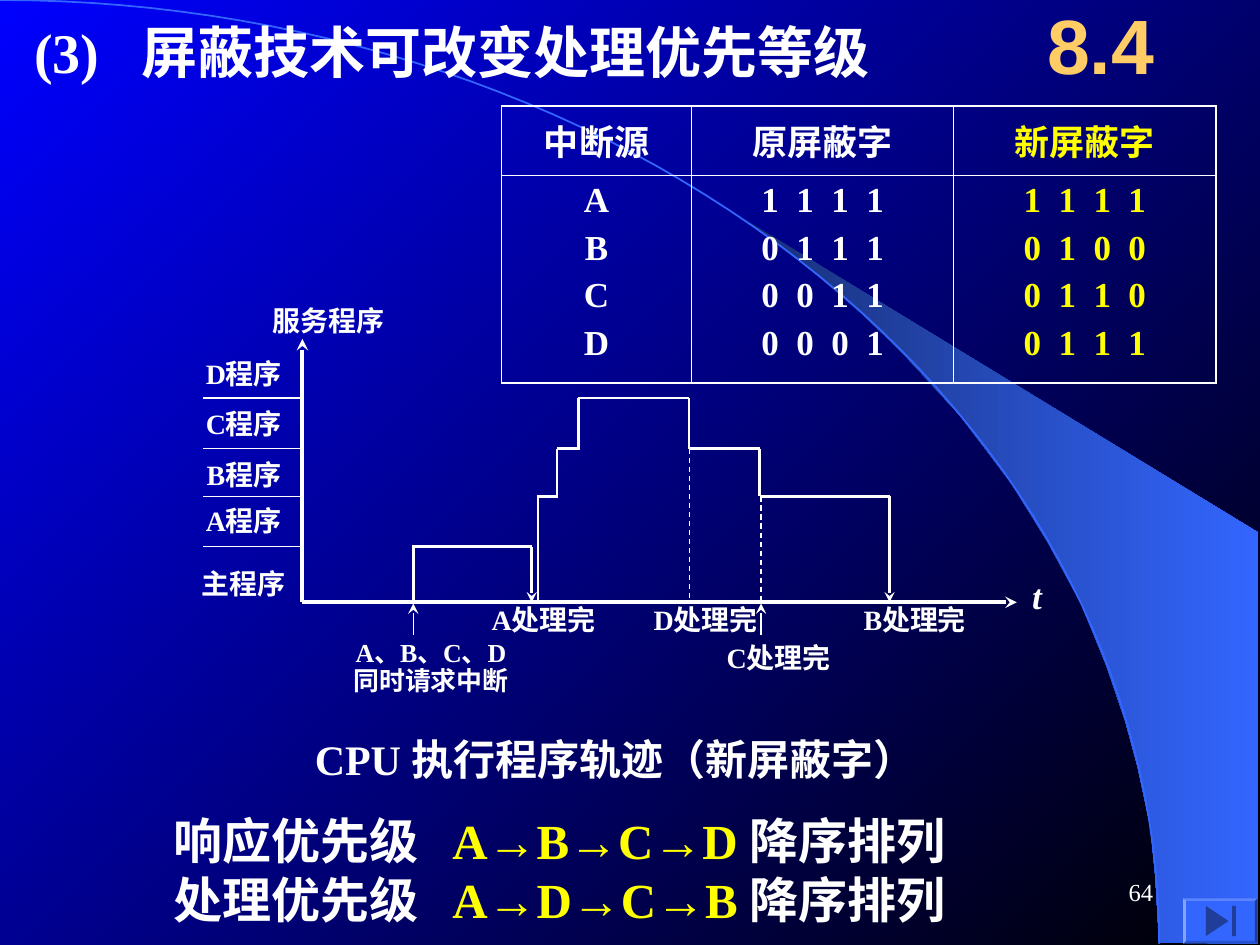
from math import cos, pi, sin

from lxml.etree import SubElement
from pptx import Presentation
from pptx.dml.color import RGBColor
from pptx.enum.dml import MSO_LINE_DASH_STYLE as Dash
from pptx.enum.shapes import MSO_CONNECTOR as Connector, MSO_SHAPE as Shape
from pptx.enum.text import MSO_ANCHOR as Anchor, MSO_AUTO_SIZE as AutoSize, PP_ALIGN as Align
from pptx.oxml.ns import qn
from pptx.util import Inches, Pt

WHITE = RGBColor(0xFF, 0xFF, 0xFF)
YELLOW = RGBColor(0xFF, 0xFF, 0x00)
GOLD = RGBColor(0xFF, 0xCC, 0x66)
BLUE = RGBColor(0x33, 0x66, 0xFF)
DEEP_BLUE = RGBColor(0x18, 0x2F, 0x76)
ICON_BLUE = RGBColor(0x1F, 0x3D, 0x99)
BACK_BLUE = RGBColor(0x00, 0x00, 0xFF)
BLACK = RGBColor(0x00, 0x00, 0x00)
SERIF = "Times New Roman"

# Heights of the trace when each program runs
MAIN, A, B, C, D = 4.78, 4.34, 3.94, 3.56, 3.16
AXIS_X = 2.4

BAND = [(9.2, 7.48), (9.99, 7.49), (9.99, 4.23), (5.89, 1.73), (6.24, 1.99), (6.53, 2.22),
        (6.85, 2.5), (7.16, 2.8), (7.62, 3.3), (8.03, 3.84), (8.32, 4.31), (8.58, 4.79),
        (8.78, 5.28), (8.93, 5.72), (9.03, 6.09), (9.13, 6.56), (9.17, 6.96)]

MASK_TABLE = [
    ("中断源", 1.51, WHITE, ["A", "B", "C", "D"]),
    ("原屏蔽字", 2.08, WHITE, ["1 1 1 1", "0 1 1 1", "0 0 1 1", "0 0 0 1"]),
    ("新屏蔽字", 2.08, YELLOW, ["1 1 1 1", "0 1 0 0", "0 1 1 0", "0 1 1 1"]),
]


def set_font(font, size, color=WHITE, name=SERIF, bold=True):
    font.size, font.name, font.bold = Pt(size), name, bold
    font.color.rgb = color


def set_frame(frame, anchor=Anchor.TOP, inset=(0, 0)):
    frame.word_wrap = True
    frame.auto_size = AutoSize.NONE
    frame.vertical_anchor = anchor
    frame.margin_left = frame.margin_right = Inches(inset[0])
    frame.margin_top = frame.margin_bottom = Inches(inset[1])


def add_tab_stop(paragraph, position):
    tabs = SubElement(paragraph._p.get_or_add_pPr(), qn("a:tabLst"))
    SubElement(tabs, qn("a:tab"), pos=str(Inches(position)), algn="l")


def add_label(slide, box, text, size=16, color=WHITE, name=SERIF, bold=True,
              align=Align.CENTER, anchor=Anchor.TOP, inset=(0, 0)):
    frame = slide.shapes.add_textbox(*map(Inches, box)).text_frame
    set_frame(frame, anchor, inset)
    frame.text = text
    for paragraph in frame.paragraphs:
        paragraph.alignment = align
        set_font(paragraph.font, size, color, name, bold)
    return frame


def add_line(slide, x1, y1, x2, y2, width=1.5, arrow=None, dashed=False):
    """Draw a white line; arrow is "headEnd" (at the start) or "tailEnd"."""
    line = slide.shapes.add_connector(Connector.STRAIGHT, *map(Inches, (x1, y1, x2, y2)))
    line.line.color.rgb = WHITE
    line.line.width = Pt(width)
    if dashed:
        line.line.dash_style = Dash.DASH
    properties = line._element.spPr
    if arrow:
        SubElement(properties.find(qn("a:ln")), qn(f"a:{arrow}"), type="stealth")
    SubElement(properties, qn("a:effectLst"))


def add_outline(slide, points, closed=True):
    builder = slide.shapes.build_freeform(*map(Inches, points[0]))
    builder.add_line_segments([tuple(map(Inches, p)) for p in points[1:]], close=closed)
    outline = builder.convert_to_shape()
    outline.shadow.inherit = False
    return outline


def fill_plain(shape, color):
    shape.shadow.inherit = False
    shape.fill.solid()
    shape.fill.fore_color.rgb = color
    shape.line.fill.background()


def fill_gradient(fill, start, end, angle):
    fill.gradient()
    fill.gradient_angle = angle
    for stop, color in zip(fill.gradient_stops, (start, end)):
        stop.color.rgb = color


def add_backdrop(slide):
    fill_gradient(slide.background.fill, BACK_BLUE, BLACK, 315)
    band = add_outline(slide, BAND)
    fill_gradient(band.fill, DEEP_BLUE, BLUE, 0)
    band.line.fill.background()
    steps = 60
    angles = [pi / 2 * i / steps for i in range(steps + 1)]
    arc = add_outline(slide, [(9.2 * sin(a), 7.49 * (1 - cos(a))) for a in angles], closed=False)
    arc.fill.background()
    arc.line.color.rgb = BLUE
    arc.line.width = Pt(1)


def add_title(slide):
    title = slide.shapes.title
    title.element.getparent().append(title.element)  # in front of the backdrop
    title.left, title.top, title.width, title.height = map(Inches, (0.27, 0.17, 7.25, 0.47))
    set_frame(title.text_frame, Anchor.MIDDLE)
    title.text_frame.text = "(3)\t屏蔽技术可改变处理优先等级"
    heading = title.text_frame.paragraphs[0]
    heading.alignment = Align.LEFT
    add_tab_stop(heading, 0.85)
    set_font(heading.font, 32)


def add_end_button(slide):
    button = slide.shapes.add_shape(Shape.BEVEL, *map(Inches, (9.39, 7.13, 0.59, 0.36)))
    button.adjustments[0] = 0.06
    fill_plain(button, BLUE)
    fill_plain(add_outline(slide, [(9.57, 7.19), (9.75, 7.31), (9.57, 7.43)]), ICON_BLUE)
    bar = slide.shapes.add_shape(Shape.RECTANGLE, *map(Inches, (9.78, 7.19, 0.03, 0.24)))
    fill_plain(bar, ICON_BLUE)


def set_borders(cell, widths):
    """Widths are in points, keyed by side: L, R, T, B."""
    properties = cell._tc.get_or_add_tcPr()
    for side, width in widths.items():
        border = SubElement(properties, qn(f"a:ln{side}"), w=str(Pt(width)))
        color = SubElement(SubElement(border, qn("a:solidFill")), qn("a:srgbClr"))
        color.set("val", str(WHITE))


def add_mask_table(slide):
    table = slide.shapes.add_table(2, 3, *map(Inches, (3.98, 0.84, 5.67, 2.2))).table
    table.first_row = table.horz_banding = False
    table.rows[0].height, table.rows[1].height = Inches(0.55), Inches(1.65)
    outer, inner = 1.08, 0.45
    for col, (heading, width, color, values) in enumerate(MASK_TABLE):
        table.columns[col].width = Inches(width)
        for row, lines in enumerate(([heading], values)):
            cell = table.cell(row, col)
            set_borders(cell, {"L": outer if col == 0 else inner, "R": outer if col == 2 else inner,
                               "T": outer if row == 0 else inner, "B": outer if row == 1 else inner})
            cell.fill.background()
            cell.vertical_anchor = Anchor.TOP if row else Anchor.MIDDLE
            cell.text = "\n".join(lines)
            for i, paragraph in enumerate(cell.text_frame.paragraphs):
                paragraph.alignment = Align.CENTER
                if i:
                    paragraph.space_before = Pt(5)
                set_font(paragraph.font, 20, color)
                if row and col:  # spread the mask bits
                    paragraph.runs[0]._r.get_or_add_rPr().set("spc", "250")


def add_axes(slide):
    add_line(slide, AXIS_X, MAIN, 8.07, MAIN, 2.25, "tailEnd")
    add_line(slide, AXIS_X, 2.69, AXIS_X, MAIN, 2.25, "headEnd")
    add_label(slide, (2.02, 2.41, 1.17, 0.39), "服务程序")
    add_label(slide, (8, 4.56, 0.46, 0.36), "t", 20).paragraphs[0].font.italic = True
    for text, top in (("主程序", 4.5), ("A程序", 4), ("B程序", 3.63), ("C程序", 3.23), ("D程序", 2.83)):
        add_label(slide, (1.53, top, 0.81, 0.36), text)
    for level in (A, B, C, D):
        add_line(slide, 1.61, level, AXIS_X, level, 0.75)


def add_trace(slide):
    for x1, x2, level in ((3.27, 4.22, A), (4.26, 4.43, B), (4.42, 4.6, C), (4.59, 5.47, D),
                          (5.47, 6.03, C), (6.03, 7.06, B)):
        add_line(slide, x1, level, x2, level)
    for x, top, bottom in ((3.28, A, MAIN), (4.27, B, MAIN), (4.42, C, B), (4.59, D, C),
                           (5.47, D, C), (6.03, C, B)):
        add_line(slide, x, top, x, bottom)
    for x, top in ((4.22, A), (7.06, B)):
        add_line(slide, x, top, x, MAIN, arrow="tailEnd")
    for x, top in ((5.47, C), (6.04, B)):
        add_line(slide, x, top, x, MAIN, 0.75, dashed=True)
    for x in (3.28, 6.04):
        add_line(slide, x, 4.79, x, 5.04, 0.75, "headEnd")
    for text, left, top, width in (("A处理完", 3.79, 4.78, 1.05), ("D处理完", 5.1, 4.78, 1),
                                   ("B处理完", 6.69, 4.78, 1.14), ("C处理完", 5.7, 5.08, 0.96)):
        add_label(slide, (left, top, width, 0.38), text)
    request = add_label(slide, (2.63, 5.08, 1.58, 0.56), "A、B、C、D\n同时请求中断", 14.8)
    for paragraph in request.paragraphs:
        paragraph.line_spacing = 0.9
    add_label(slide, (AXIS_X, 5.77, 5.67, 0.5), "CPU 执行程序轨迹（新屏蔽字）", 24,
              align=Align.LEFT, inset=(0.1, 0.05))


def add_priority(slide, top, name, order):
    frame = add_label(slide, (1.38, top, 7, 0.47), f"{name}\t", 28,
                      align=Align.LEFT, anchor=Anchor.MIDDLE)
    paragraph = frame.paragraphs[0]
    sequence = paragraph.add_run()
    sequence.text = f"{order} "
    sequence.font.color.rgb = YELLOW
    paragraph.add_run().text = "降序排列"
    tabs = SubElement(paragraph._p.pPr, qn("a:tabLst"))
    SubElement(tabs, qn("a:tab"), pos=str(Inches(2.21)), algn="l")
    paragraph._p.pPr.find(qn("a:defRPr")).addprevious(tabs)


def main():
    deck = Presentation()
    deck.slide_width, deck.slide_height = Inches(10), Inches(7.5)
    slide = deck.slides.add_slide(deck.slide_layouts[5])
    add_backdrop(slide)
    add_title(slide)
    add_label(slide, (8.11, -0.11, 1.25, 0.92), "8.4", 44, GOLD, "Arial",
              anchor=Anchor.MIDDLE, inset=(0.1, 0.05))
    add_end_button(slide)
    add_mask_table(slide)
    add_axes(slide)
    add_trace(slide)
    add_priority(slide, 6.43, "响应优先级", "A→B→C→D")
    add_priority(slide, 6.9, "处理优先级", "A→D→C→B")
    add_label(slide, (7.17, 6.83, 2.08, 0.5), "64", 14, bold=False, align=Align.RIGHT,
              anchor=Anchor.MIDDLE, inset=(0.1, 0.05))
    deck.save("out.pptx")


if __name__ == "__main__":
    main()
